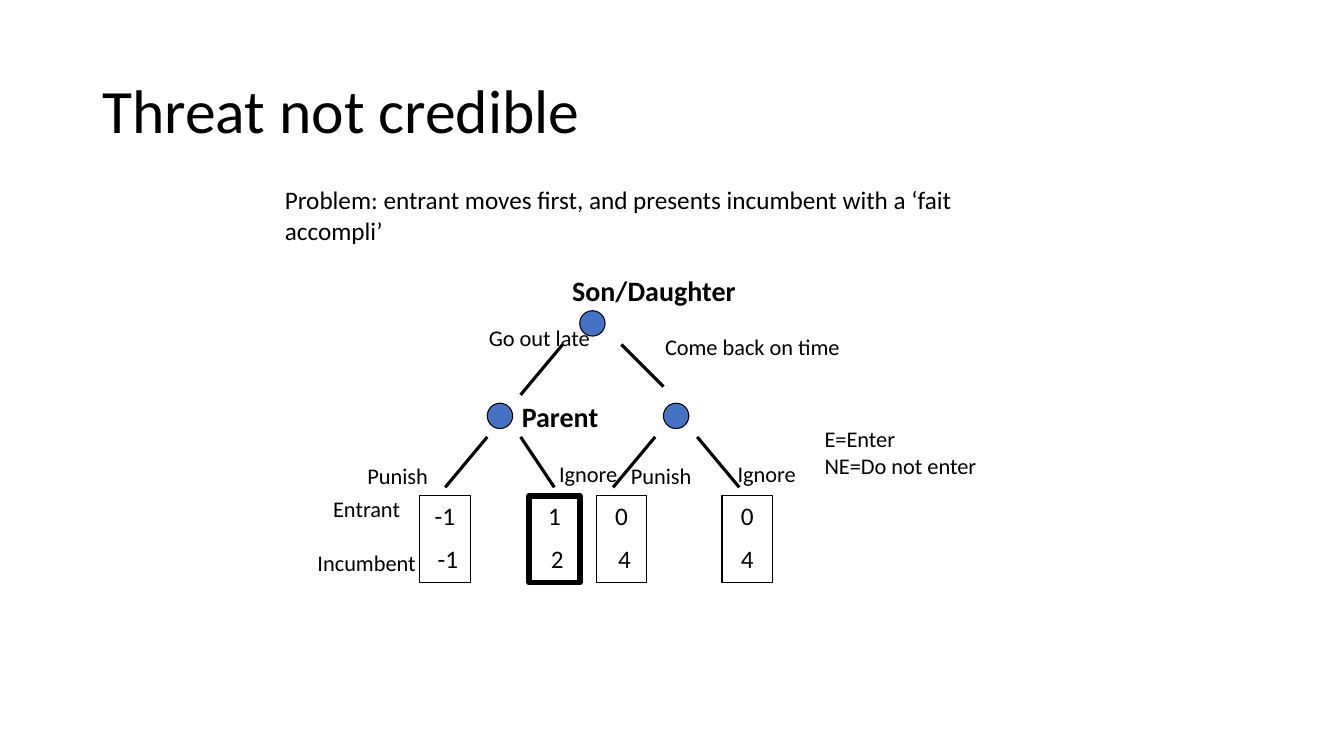
"""Build a slide with a game tree showing a threat that is not credible."""
from lxml import etree
from pptx import Presentation
from pptx.dml.color import RGBColor
from pptx.enum.shapes import MSO_CONNECTOR, MSO_SHAPE
from pptx.enum.text import MSO_ANCHOR, PP_ALIGN
from pptx.oxml.ns import qn
from pptx.util import Cm, Pt

BLACK = RGBColor(0x00, 0x00, 0x00)
BLUE = RGBColor(0x44, 0x72, 0xC4)
OVAL, RECTANGLE = MSO_SHAPE.OVAL, MSO_SHAPE.RECTANGLE
STRAIGHT = MSO_CONNECTOR.STRAIGHT
LEFT, CENTER = PP_ALIGN.LEFT, PP_ALIGN.CENTER
TOP, MIDDLE = MSO_ANCHOR.TOP, MSO_ANCHOR.MIDDLE


def write(box, text, size, bold=False, align=LEFT, gap=0, wrap=True):
    frame = box.text_frame
    frame.word_wrap = wrap
    frame.vertical_anchor = TOP
    frame.text = text
    for index, para in enumerate(frame.paragraphs):
        para.alignment = align
        para.space_before = Pt(gap if index else 0)
        for span in para.runs:
            span.font.name = "Calibri"
            span.font.size = Pt(size)
            span.font.bold = bold
            span.font.color.rgb = BLACK


def add_outlined(kind, left, top, width, height, weight):
    shape = page.shapes.add_shape(kind, Cm(left), Cm(top), Cm(width), Cm(height))
    shape.shadow.inherit = False
    shape.line.color.rgb = BLACK
    shape.line.width = Pt(weight)
    return shape


deck = Presentation()
deck.slide_width, deck.slide_height = Cm(33.87), Cm(19.05)
page = deck.slides.add_slide(deck.slide_layouts[6])

title = page.shapes.add_textbox(Cm(2.33), Cm(1.02), Cm(29.21), Cm(3.68))
write(title, "Threat not credible", 44)
title.text_frame.vertical_anchor = MIDDLE
title.text_frame.paragraphs[0].line_spacing = 0.9

problem = page.shapes.add_textbox(Cm(6.93), Cm(4.53), Cm(17.98), Cm(1.8))
write(problem, "Problem: entrant moves first, and presents incumbent with a ‘fait accompli’", 18)

for left, top in [(14.61, 7.83), (12.28, 10.16), (16.72, 10.16)]:
    node = add_outlined(OVAL, left, top, 0.64, 0.64, 0.75)
    node.fill.solid()
    node.fill.fore_color.rgb = BLUE

branches = [
    (14.18, 8.68, 13.12, 9.95),
    (15.66, 8.68, 16.72, 9.74),
    (12.28, 11.01, 11.22, 12.28),
    (13.12, 11.01, 13.97, 12.28),
    (16.51, 11.01, 15.45, 12.28),
    (17.57, 11.01, 18.63, 12.28),
]
for points in branches:
    branch = page.shapes.add_connector(STRAIGHT, *[Cm(point) for point in points])
    branch.line.color.rgb = BLACK
    branch.line.width = Pt(2.25)
    etree.SubElement(branch._element.spPr, qn("a:effectLst"))

payoffs = [
    (10.58, "-1\n -1", 0.75),
    (13.34, "1\n 2", 4.25),
    (15.03, "0\n 4", 0.75),
    (18.2, "0\n4", 1),
]
for left, text, weight in payoffs:
    payoff = add_outlined(RECTANGLE, left, 12.49, 1.27, 2.19, weight)
    payoff.fill.background()
    write(payoff, text, 18, align=CENTER, gap=9)

moves = [
    ("Go out late", 12.07, 8.04, 3.1),
    ("Come back on time", 16.51, 8.26, 4.98),
    ("Punish", 9.01, 11.53, 2.06),
    ("Ignore", 13.84, 11.48, 2.01),
    ("Punish", 15.65, 11.53, 2.06),
    ("Ignore", 18.34, 11.48, 2.01),
]
for text, left, top, width in moves:
    move = page.shapes.add_textbox(Cm(left), Cm(top), Cm(width), Cm(0.94))
    write(move, text, 16, wrap=False)

for text, left, top, width in [("Son/Daughter", 14.17, 6.77, 4.67), ("Parent", 12.9, 9.95, 2.46)]:
    player = page.shapes.add_textbox(Cm(left), Cm(top), Cm(width), Cm(1.12))
    write(player, text, 20, bold=True, wrap=False)

payoff_owners = page.shapes.add_textbox(Cm(7.73), Cm(12.35), Cm(3.02), Cm(2.31))
write(payoff_owners, "Entrant\nIncumbent", 16, align=CENTER, gap=19.5, wrap=False)

legend = page.shapes.add_textbox(Cm(20.53), Cm(10.58), Cm(4.39), Cm(1.63))
write(legend, "E=Enter\nNE=Do not enter", 16)

deck.save("out.pptx")
